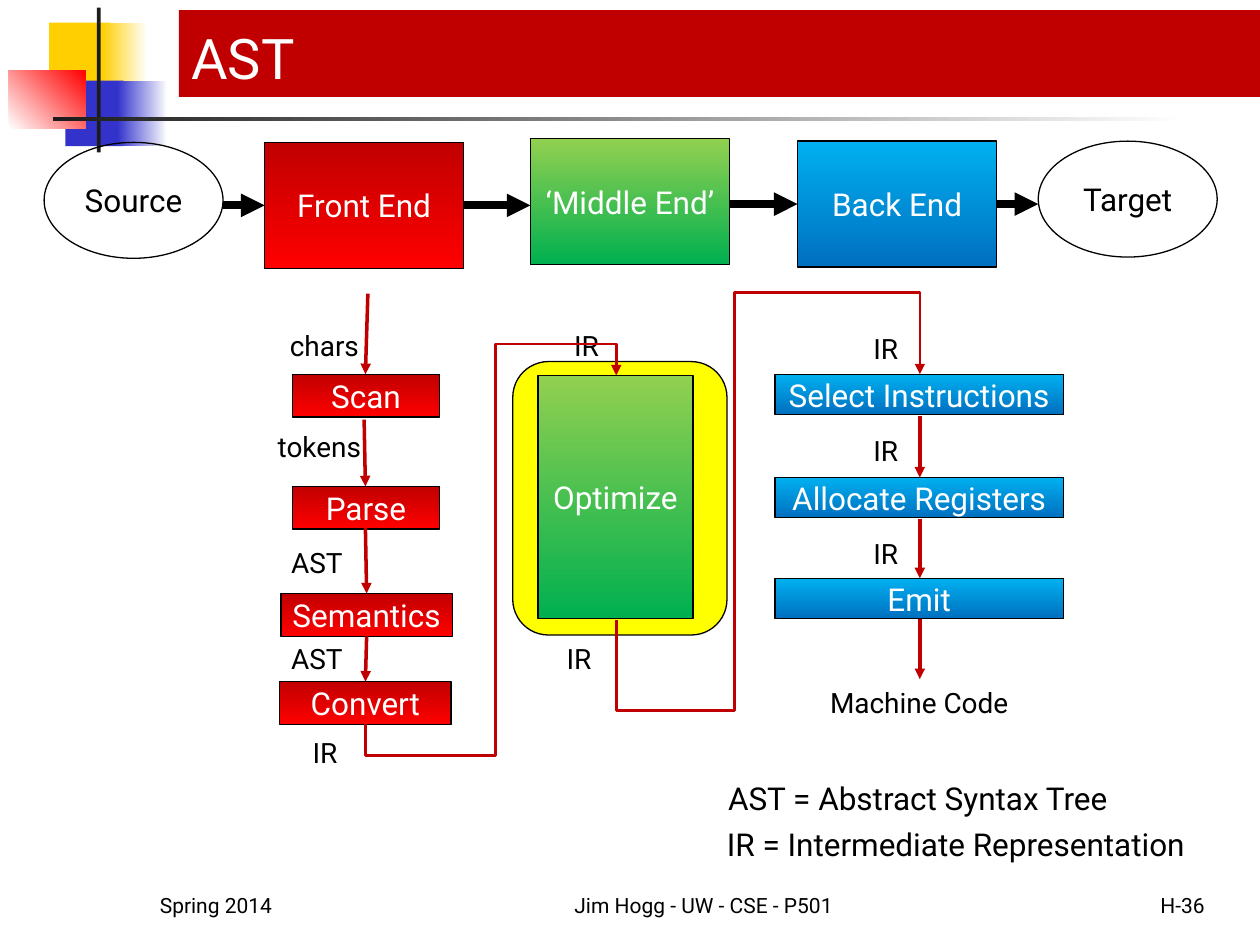
from dataclasses import dataclass
from typing import Optional

from lxml.etree import SubElement
from pptx import Presentation
from pptx.dml.color import RGBColor
from pptx.enum.shapes import MSO_CONNECTOR, MSO_SHAPE
from pptx.enum.text import MSO_ANCHOR, PP_ALIGN
from pptx.oxml.ns import qn
from pptx.util import Inches, Pt

FONT = "Roboto"
BLACK, WHITE, RED = "000000", "FFFFFF", "C00000"
YELLOW, BLUE, CHARCOAL = "FFCF01", "3333CC", "1C1C1C"
FRONT = (RED, "FF0000")
MIDDLE = ("92D050", "00B050")
BACK = ("00B0F0", "0070C0")
FRONT_X, OPTIMIZE_X, BACK_X = 2.9, 4.89, 7.3


@dataclass
class Box:
    left: float
    top: float
    width: float
    height: float
    colors: tuple = ()
    text: str = ""
    angle: int = 90
    line: Optional[str] = BLACK
    kind: MSO_SHAPE = MSO_SHAPE.RECTANGLE


@dataclass
class Label:
    text: str
    left: float
    top: float
    width: float
    height: float = 0.37


@dataclass
class Arrow:
    start: tuple
    end: tuple


@dataclass
class Elbow:
    start: tuple
    end: tuple
    bottom: float
    middle: float
    top: float


def rgb(color: str) -> RGBColor:
    return RGBColor.from_string(color)


def write(frame, text: str, *, size=18, color=BLACK, align=PP_ALIGN.CENTER,
          anchor=MSO_ANCHOR.MIDDLE, wrap=False) -> None:
    frame.word_wrap = wrap
    frame.vertical_anchor = anchor
    paragraph = frame.paragraphs[0]
    paragraph.alignment = align
    run = paragraph.add_run()
    run.text = text
    run.font.name = FONT
    run.font.size = Pt(size)
    run.font.color.rgb = rgb(color)


def draw_box(slide, box: Box):
    shape = slide.shapes.add_shape(box.kind, Inches(box.left), Inches(box.top),
                                   Inches(box.width), Inches(box.height))
    shape.shadow.inherit = False
    if not box.colors:
        shape.fill.background()
    elif len(box.colors) == 1:
        shape.fill.solid()
        shape.fill.fore_color.rgb = rgb(box.colors[0])
    else:
        shape.fill.gradient()
        shape.fill.gradient_angle = (360 - box.angle) % 360
        for stop, color in zip(shape.fill.gradient_stops, box.colors):
            stop.color.rgb = rgb(color)
    if box.line:
        shape.line.color.rgb = rgb(box.line)
        shape.line.width = Pt(0.75)
    else:
        shape.line.fill.background()
    if box.text:
        write(shape.text_frame, box.text, color=WHITE if box.colors else BLACK)
    return shape


def draw_label(slide, label: Label, **text_format) -> None:
    shape = slide.shapes.add_textbox(Inches(label.left), Inches(label.top),
                                     Inches(label.width), Inches(label.height))
    write(shape.text_frame, label.text, **text_format)


def draw_arrow(slide, arrow: Arrow, color: str, width: float,
               kind=MSO_CONNECTOR.STRAIGHT):
    connector = slide.shapes.add_connector(
        kind, *(Inches(value) for value in (*arrow.start, *arrow.end)))
    connector.line.color.rgb = rgb(color)
    connector.line.width = Pt(width)
    properties = connector._element.spPr
    SubElement(properties.find(qn("a:ln")), qn("a:tailEnd"), type="triangle")
    SubElement(properties, qn("a:effectLst"))
    return connector


def draw_elbow(slide, elbow: Elbow) -> None:
    """Five-part connector that leaves downwards and enters from above."""
    (start_x, start_y), (end_x, end_y) = elbow.start, elbow.end
    rise, run = start_y - end_y, end_x - start_x
    left = (start_x + end_x - rise) / 2
    top = (start_y + end_y - run) / 2
    frame = Arrow((left, top), (left + rise, top + run))
    connector = draw_arrow(slide, frame, RED, 1.5, MSO_CONNECTOR.ELBOW)
    # The frame is turned a quarter and mirrored both ways
    properties = connector._element.spPr
    transform = properties.find(qn("a:xfrm"))
    for name, value in (("rot", "5400000"), ("flipH", "1"), ("flipV", "1")):
        transform.set(name, value)
    geometry = properties.find(qn("a:prstGeom"))
    geometry.set("prst", "bentConnector5")
    adjustments = geometry.find(qn("a:avLst"))
    bends = ((start_y - elbow.bottom) / rise, (elbow.middle - start_x) / run,
             (start_y - elbow.top) / rise)
    for number, bend in enumerate(bends, 1):
        SubElement(adjustments, qn("a:gd"), name=f"adj{number}",
                   fmla=f"val {round(bend * 100000)}")


DECORATION = [
    Box(0.39, 0.18, 0.48, 0.52, (YELLOW,), line=None),
    Box(0.81, 0.18, 0.36, 0.52, (YELLOW, WHITE), angle=0, line=None),
    Box(0.52, 0.64, 0.46, 0.52, (BLUE,), line=None),
    Box(0.93, 0.64, 0.4, 0.52, (BLUE, WHITE), angle=0, line=None),
    Box(0.07, 0.56, 0.61, 0.46, (WHITE, "FF0000"), angle=315, line=None),
    Box(0.77, 0.06, 0.03, 1.15, (CHARCOAL,), line=None),
    Box(0.42, 0.93, 9, 0.03, (CHARCOAL, WHITE), angle=0, line=None),
]
HIGHLIGHT = Box(4.07, 2.87, 1.7, 2.17, ("FFFF00",), kind=MSO_SHAPE.ROUNDED_RECTANGLE)
PIPELINE = [
    Box(0.35, 1.13, 1.42, 0.92, text="Source", kind=MSO_SHAPE.OVAL),
    Box(2.1, 1.13, 1.58, 1, FRONT, "Front End"),
    Box(4.21, 1.1, 1.58, 1, MIDDLE, "‘Middle End’"),
    Box(6.33, 1.12, 1.58, 1, BACK, "Back End"),
    Box(8.24, 1.12, 1.42, 0.92, text="Target", kind=MSO_SHAPE.OVAL),
]
STEPS = [
    Box(2.32, 2.97, 1.17, 0.34, FRONT, "Scan"),
    Box(2.32, 3.86, 1.17, 0.34, FRONT, "Parse"),
    Box(2.23, 4.71, 1.36, 0.34, FRONT, "Semantics"),
    Box(2.22, 5.41, 1.36, 0.34, FRONT, "Convert"),
    Box(4.27, 2.98, 1.23, 1.93, MIDDLE, "Optimize"),
    Box(6.15, 2.97, 2.29, 0.32, BACK, "Select Instructions"),
    Box(6.15, 3.79, 2.29, 0.32, BACK, "Allocate Registers"),
    Box(6.15, 4.59, 2.29, 0.32, BACK, "Emit"),
]
LABELS = [
    Label("chars", 1.99, 2.56, 1.17),
    Label("tokens", 1.95, 3.36, 1.17),
    Label("AST", 1.93, 4.28, 1.17),
    Label("AST", 1.93, 5.04, 1.17),
    Label("IR", 2, 5.79, 1.16),
    Label("IR", 4.18, 2.56, 0.95),
    Label("IR", 3.98, 5.04, 1.23),
    *(Label("IR", 6.15, top, 1.76) for top in (2.58, 3.39, 4.21)),
    Label("Machine Code", 6.15, 5.39, 2.29),
]
STEP_ARROWS = [
    Arrow((2.92, 2.33), (FRONT_X, 2.97)),
    Arrow((2.89, 3.33), (FRONT_X, 3.86)),
    Arrow((FRONT_X, 4.19), (2.91, 4.71)),
    Arrow((2.91, 5.05), (FRONT_X, 5.41)),
    *(Arrow((BACK_X, start), (BACK_X, end))
      for start, end in ((3.3, 3.79), (4.12, 4.59), (4.91, 5.39))),
]
ELBOWS = [
    Elbow((FRONT_X, 5.75), (OPTIMIZE_X, 2.98), bottom=6, middle=3.93, top=2.73),
    Elbow((OPTIMIZE_X, 4.92), (BACK_X, 2.97), bottom=5.64, middle=5.83, top=2.32),
]
FOOTERS = [
    (Label("Spring 2014", 1.17, 6.83, 2.08, 0.5), PP_ALIGN.LEFT),
    (Label("Jim Hogg - UW - CSE - P501", 4, 6.83, 3.17, 0.5), PP_ALIGN.CENTER),
    (Label("H-36", 7.58, 6.83, 2.08, 0.5), PP_ALIGN.RIGHT),
]
LEGEND = [
    Label("AST = Abstract Syntax Tree", 5.68, 6.13, 3.27, 0.4),
    Label("IR = Intermediate Representation", 5.67, 6.5, 3.98, 0.4),
]


def main() -> None:
    presentation = Presentation()
    presentation.slide_width, presentation.slide_height = Inches(10), Inches(7.5)
    slide = presentation.slides.add_slide(presentation.slide_layouts[6])

    # Corner decoration, compiler pipeline and detailed steps
    for box in [*DECORATION, HIGHLIGHT, *PIPELINE, *STEPS]:
        draw_box(slide, box)

    # Arrows between neighbouring pipeline stages
    for stage, following, height in zip(PIPELINE, PIPELINE[1:], (1.63, 1.63, 1.62, 1.62)):
        arrow = Arrow((stage.left + stage.width, height), (following.left, height))
        draw_arrow(slide, arrow, BLACK, 4.5)

    # Data passed between steps
    for label in LABELS:
        draw_label(slide, label, size=16, anchor=MSO_ANCHOR.TOP, wrap=True)
    for elbow in ELBOWS:
        draw_elbow(slide, elbow)
    for arrow in STEP_ARROWS:
        draw_arrow(slide, arrow, RED, 2)

    # Title, legend and footer
    title = draw_box(slide, Box(1.42, 0.08, 8.58, 0.69, (RED,), line=None))
    write(title.text_frame, "AST", size=32, color=WHITE, align=PP_ALIGN.LEFT,
          anchor=MSO_ANCHOR.BOTTOM, wrap=True)
    for label in LEGEND:
        draw_label(slide, label, align=PP_ALIGN.LEFT, anchor=MSO_ANCHOR.TOP)
    for label, align in FOOTERS:
        draw_label(slide, label, size=12, align=align, anchor=MSO_ANCHOR.BOTTOM, wrap=True)

    presentation.save("out.pptx")


if __name__ == "__main__":
    main()
